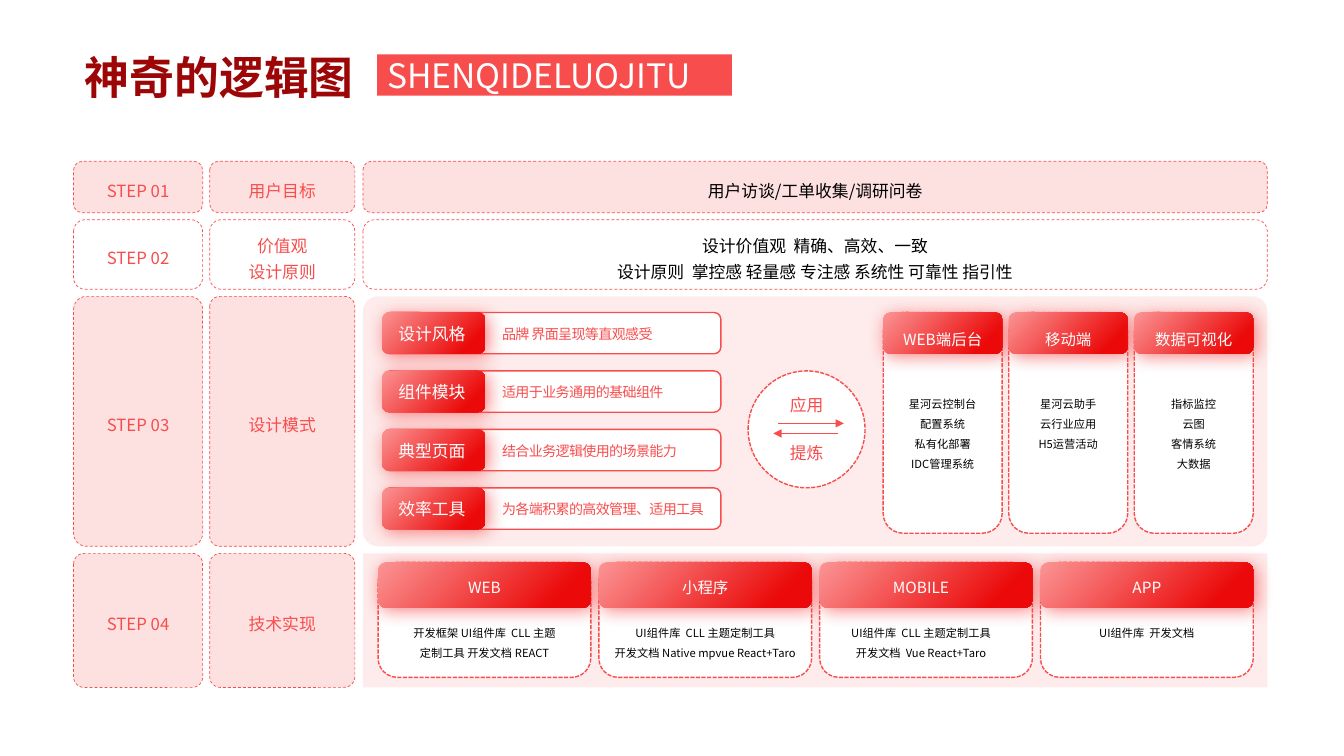
from lxml.etree import SubElement
from pptx import Presentation
from pptx.dml.color import RGBColor
from pptx.enum.dml import MSO_LINE_DASH_STYLE as Dash
from pptx.enum.shapes import MSO_CONNECTOR, MSO_SHAPE as Shape
from pptx.enum.text import MSO_ANCHOR as Anchor, MSO_AUTO_SIZE, PP_ALIGN as Align
from pptx.oxml.ns import qn
from pptx.util import Inches, Pt

RED, PINK, WHITE, BLACK = "F84D4D", "FCB8B8", "FFFFFF", "000000"
SANS, TITLE_SANS = "Noto Sans CJK JP", "Noto Sans CJK SC"


def rgb(value):
    return RGBColor.from_string(value)


def write_text(frame, text, size=12, color=RED, font=SANS, bold=False, align=Align.CENTER,
               anchor=Anchor.TOP, spacing=1.0, margins=(0, 0), wrap=True, tracking=None):
    frame.auto_size = MSO_AUTO_SIZE.NONE
    frame.word_wrap = wrap
    frame.vertical_anchor = anchor
    frame.margin_left = frame.margin_right = Inches(margins[0])
    frame.margin_top = frame.margin_bottom = Inches(margins[1])
    for index, line in enumerate(text.split("\n")):
        paragraph = frame.add_paragraph() if index else frame.paragraphs[0]
        paragraph.alignment = align
        paragraph.line_spacing = spacing
        run = paragraph.add_run()
        run.text = line
        run.font.size, run.font.bold, run.font.name = Pt(size), bold, font
        run.font.color.rgb = rgb(color)
        properties = run._r.get_or_add_rPr()
        SubElement(properties, qn("a:ea"), typeface=font)
        if tracking is not None:
            properties.set("spc", str(tracking))


class Diagram:
    """Holds the style and the current slide and draws each kind of element."""

    def __init__(self, slide):
        self.slide = slide
        self.shapes = slide.shapes

    def title(self, text, left, top, width, height):
        title = self.shapes.title
        title.left, title.top = Inches(left), Inches(top)
        title.width, title.height = Inches(width), Inches(height)
        write_text(title.text_frame, text, size=32, color="9C0606", font=TITLE_SANS,
                   bold=True, align=Align.LEFT, margins=(0.1, 0.05))

    def box(self, left, top, width, height, kind=Shape.ROUNDED_RECTANGLE, fill=None,
            opacity=100, dash=None, line=None, corner=None):
        shape = self.shapes.add_shape(kind, Inches(left), Inches(top), Inches(width), Inches(height))
        shape.shadow.inherit = False
        if corner is not None:
            shape.adjustments[0] = corner
        if fill:
            shape.fill.solid()
            shape.fill.fore_color.rgb = rgb(fill)
            if opacity < 100:
                color = shape._element.spPr.find(qn("a:solidFill"))[0]
                SubElement(color, qn("a:alpha"), val=str(opacity * 1000))
        else:
            shape.fill.background()
        if line:
            shape.line.color.rgb = rgb(RED)
            shape.line.width = Pt(line)
            if dash:
                shape.line.dash_style = dash
        else:
            shape.line.fill.background()
        return shape

    def header(self, left, top, width, height):
        shape = self.box(left, top, width, height)
        shape.fill.gradient()
        shape.fill.gradient_angle = 315
        for stop, color, position in zip(shape.fill.gradient_stops, ("FB9494", "EB0909"), (0, 0.84)):
            stop.color.rgb = rgb(color)
            stop.position = position
        effects = shape._element.spPr.find(qn("a:effectLst"))
        shadow = SubElement(effects, qn("a:outerShdw"), blurRad=str(Pt(13)), dist=str(Pt(3)),
                            dir="2700000", algn="tl", rotWithShape="0")
        color = SubElement(shadow, qn("a:srgbClr"), val=RED)
        SubElement(color, qn("a:alpha"), val="70000")

    def card(self, left, top, width, height):
        self.box(left, top, width, height, fill=WHITE, line=1, dash=Dash.SQUARE_DOT)

    def text(self, text, left, top, width, height, **style):
        box = self.shapes.add_textbox(Inches(left), Inches(top), Inches(width), Inches(height))
        write_text(box.text_frame, text, **style)

    def centred(self, text, center, top, width, height, **style):
        self.text(text, center - width / 2, top, width, height, **{"spacing": 1.3, **style})

    def arrow(self, start, end, y):
        connector = self.shapes.add_connector(
            MSO_CONNECTOR.STRAIGHT, Inches(start), Inches(y), Inches(end), Inches(y))
        connector.line.color.rgb = rgb(RED)
        connector.line.width = Pt(1)
        SubElement(connector.line._get_or_add_ln(), qn("a:tailEnd"), type="triangle")
        SubElement(connector._element.spPr, qn("a:effectLst"))


def draw_heading(diagram):
    diagram.title("神奇的逻辑图", 0.74, 0.44, 3.47, 0.64)
    banner = diagram.box(3.74, 0.54, 3.52, 0.41, kind=Shape.RECTANGLE, fill=RED)
    write_text(banner.text_frame, "SHENQIDELUOJITU", size=24, color=WHITE, align=Align.JUSTIFY,
               anchor=Anchor.MIDDLE, margins=(0.1, 0))


def draw_steps(diagram):
    diagram.box(3.6, 2.94, 8.97, 2.48, fill=RED, opacity=10, corner=0.06)
    diagram.box(3.6, 5.49, 8.97, 1.33, kind=Shape.RECTANGLE, fill=RED, opacity=10)
    columns = [(0.73, 1.28, 1.36), (2.08, 1.44, 1.36), (3.6, 8.97, 6.91)]
    steps = [
        (1.6, 0.51, PINK, (None,) * 3, ("STEP 01", "用户目标", "用户访谈/工单收集/调研问卷")),
        (2.18, 0.69, None, (None,) * 3, (
            "STEP 02", "价值观\n设计原则",
            "设计价值观  精确、高效、一致\n设计原则  掌控感 轻量感 专注感 系统性 可靠性 指引性")),
        (2.94, 2.48, PINK, (0.1, 0.07), ("STEP 03", "设计模式")),
        (5.49, 1.33, PINK, (0.08, 0.08), ("STEP 04", "技术实现")),
    ]
    for top, height, fill, corners, labels in steps:
        for (left, width, text_width), corner, label in zip(columns, corners, labels):
            diagram.box(left, top, width, height, fill=fill, opacity=43, line=0.5,
                        dash=Dash.DASH, corner=corner)
            text_height = 0.25 * len(label.split("\n"))
            wide = left == 3.6
            diagram.centred(label, left + width / 2, top + (height - text_height) / 2,
                            text_width, text_height, color=BLACK if wide else RED,
                            font=SANS if wide else TITLE_SANS)


def draw_patterns(diagram):
    patterns = [("设计风格", "品牌 界面呈现等直观感受"), ("组件模块", "适用于业务通用的基础组件"),
                ("典型页面", "结合业务逻辑使用的场景能力"), ("效率工具", "为各端积累的高效管理、适用工具")]
    label_style = dict(align=Align.LEFT, anchor=Anchor.MIDDLE, margins=(0.03, 0.03))
    for index, (name, description) in enumerate(patterns):
        top = 3.1 + 0.58 * index
        diagram.box(3.8, top, 3.35, 0.41, fill=WHITE, line=1)
        diagram.text(description, 4.95, top + 0.1, 2.2, 0.22, size=10, tracking=-40, **label_style)
        diagram.header(3.79, top, 1.02, 0.41)
        diagram.text(name, 3.92, top + 0.08, 0.89, 0.26, color=WHITE, **label_style)


def draw_exchange(diagram):
    diagram.box(7.42, 3.68, 1.16, 1.16, kind=Shape.OVAL, fill=WHITE, line=1, dash=Dash.SQUARE_DOT)
    diagram.centred("应用", 8, 3.86, 0.79, 0.25)
    diagram.centred("提炼", 8, 4.33, 0.79, 0.25)
    diagram.arrow(7.72, 8.37, 4.2)
    diagram.arrow(8.31, 7.67, 4.3)


def draw_cards(diagram, cards, left, pitch, top, size, header_height, name_top, body_box):
    width, height = size
    for index, (name, body, nudge) in enumerate(cards):
        card_left = left + pitch * index
        center = card_left + width / 2 + nudge
        diagram.card(card_left, top, width, height)
        diagram.header(card_left, top, width, header_height)
        diagram.centred(name, center, name_top, 1.11, 0.25, size=11, color=WHITE)
        diagram.centred(body, center, *body_box, size=8, color=BLACK, spacing=1.5,
                        margins=(0.03, 0.03), wrap=False)


def main():
    presentation = Presentation()
    presentation.slide_width, presentation.slide_height = Inches(13.33), Inches(7.5)
    diagram = Diagram(presentation.slides.add_slide(presentation.slide_layouts[5]))
    draw_heading(diagram)
    draw_steps(diagram)
    draw_patterns(diagram)
    draw_exchange(diagram)
    platforms = [
        ("WEB端后台", "星河云控制台\n配置系统\n私有化部署\nIDC管理系统", 0),
        ("移动端", "星河云助手\n云行业应用\nH5运营活动", 0),
        ("数据可视化", "指标监控\n云图\n客情系统\n大数据", 0),
    ]
    draw_cards(diagram, platforms, 8.76, 1.245, 3.1, (1.18, 2.19), 0.41, 3.22, (3.84, 1.11, 0.95))
    technologies = [
        ("WEB", "开发框架 UI组件库  CLL 主题\n定制工具 开发文档 REACT", 0),
        ("小程序", "UI组件库  CLL 主题定制工具\n开发文档 Native mpvue React+Taro", 0),
        ("MOBILE", "UI组件库  CLL 主题定制工具\n开发文档  Vue React+Taro", -0.05),
        ("APP", "UI组件库  开发文档", 0),
    ]
    draw_cards(diagram, technologies, 3.75, 2.19, 5.58, (2.11, 1.14), 0.45, 5.68, (6.12, 1.79, 0.49))
    presentation.save("out.pptx")


if __name__ == "__main__":
    main()
